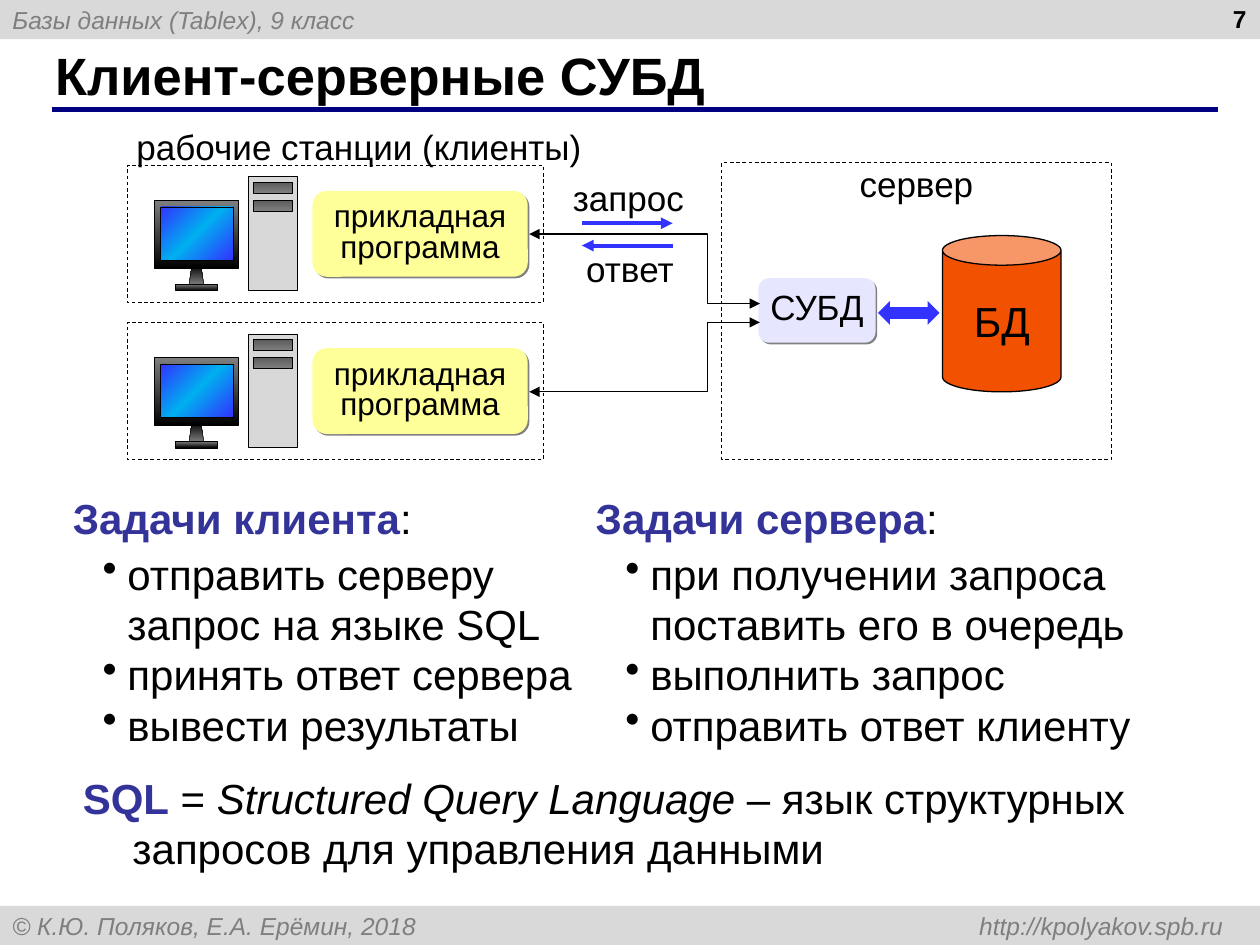
"""Build the slide about client-server database systems."""
from copy import deepcopy
from lxml.etree import SubElement
from pptx import Presentation
from pptx.dml.color import RGBColor
from pptx.enum.dml import MSO_LINE
from pptx.enum.shapes import MSO_CONNECTOR, MSO_SHAPE
from pptx.enum.text import MSO_ANCHOR, PP_ALIGN
from pptx.oxml.ns import qn
from pptx.util import Cm, Pt

THEME = {
    "font": "Arial",
    "black": "000000", "muted": "7F7F7F", "bar": "D9D9D9", "rule": "000080",
    "accent": "333399", "arrow": "3333FF", "program": "FFFF99", "dbms": "E6E6FF",
    "database": "F25100", "tower": "D8D8D8", "shadow": "808080",
    "case": (("7F7F7F", "000000"), 90), "drive": (("5A5A5A", "7F7F7F"), 90),
    "screen": (("3333FF", "00B0F0", "3333FF"), 45),
    "small": 14, "program_size": 18, "label": 20, "body": 24, "title": 30,
}

TITLE = "Клиент-серверные СУБД"
BARS = [
    (0, "Базы данных (Tablex), 9 класс"),
    (18.26, "© К.Ю. Поляков, Е.А. Ерёмин, 2018\thttp://kpolyakov.spb.ru"),
]
LABELS = [
    ("рабочие станции (клиенты)", (2.06, 2.54, 10.36, 0.69)),
    ("запрос", (11.35, 3.56, 2.64, 0.69)),
    ("ответ", (11.38, 4.98, 2.64, 0.66)),
]
STATION_TOPS = [3.33, 6.5]
PROGRAM = ["прикладная", "программа"]
HARDWARE = [
    (MSO_SHAPE.FLOWCHART_MANUAL_OPERATION, (1.24, 2.01, 0.3, 0.41), "case"),
    (MSO_SHAPE.RECTANGLE, (0.53, 0.71, 1.7, 1.37), "case"),
    (MSO_SHAPE.RECTANGLE, (0.66, 0.84, 1.47, 1.07), "screen"),
    (MSO_SHAPE.RECTANGLE, (0.97, 2.4, 0.84, 0.13), "case"),
    (MSO_SHAPE.RECTANGLE, (2.44, 0.23, 0.99, 2.29), "tower"),
    (MSO_SHAPE.RECTANGLE, (2.54, 0.34, 0.79, 0.23), "drive"),
    (MSO_SHAPE.RECTANGLE, (2.54, 0.7, 0.79, 0.23), "drive"),
]
LINKS = [(4.72, 6.12), (7.9, 6.5)]
LINK_X = (10.67, 14.27, 15.32)
MESSAGES = [(11.73, 13.56, 4.5), (13.56, 11.73, 4.95)]
TASKS = [
    ("Задачи клиента", 1.22, ["отправить серверу запрос на языке SQL",
                              "принять ответ сервера", "вывести результаты"]),
    ("Задачи сервера", 11.76, ["при получении запроса поставить его в очередь",
                               "выполнить запрос", "отправить ответ клиенту"]),
]
STRONG = {"bold": True, "color": "accent"}
DEFINITION = [
    ("SQL", STRONG), (" = ", {}), ("Structured Query Language", {"italic": True}),
    (" – язык структурных запросов для управления данными", {}),
]


def rgb(name):
    return RGBColor.from_string(THEME[name])


def write(sp, paras, size, align=PP_ALIGN.LEFT, anchor=MSO_ANCHOR.TOP,
          inset=(0, 0), wrap=True, spacing=None):
    tf = sp.text_frame
    mx, my = map(Cm, inset)
    frame = {"word_wrap": wrap, "vertical_anchor": anchor, "margin_left": mx,
             "margin_right": mx, "margin_top": my, "margin_bottom": my}
    for key, value in frame.items():
        setattr(tf, key, value)
    for i, runs in enumerate(paras):
        p = tf.add_paragraph() if i else tf.paragraphs[0]
        p.alignment = align
        if spacing:
            p.line_spacing = spacing
        for text, style in runs:
            r = p.add_run()
            r.text = text
            fmt = {"name": THEME["font"], "size": Pt(THEME[size]),
                   "bold": False, "italic": False, **style}
            r.font.color.rgb = rgb(fmt.pop("color", "black"))
            for key, value in fmt.items():
                setattr(r.font, key, value)
    return tf


def add_text(s, box, paras, size, **options):
    return write(s.shapes.add_textbox(*map(Cm, box)), paras, size, **options)


def paint(sp, fill):
    if fill is None:
        sp.fill.background()
    elif isinstance(THEME[fill], str):
        sp.fill.solid()
        sp.fill.fore_color.rgb = rgb(fill)
    else:
        colors, angle = THEME[fill]
        sp.fill.gradient()
        sp.fill.gradient_angle = 360 - angle
        stops = next(sp.element.spPr.iter(qn("a:gsLst")))
        for _ in colors[2:]:
            stops.append(deepcopy(stops[-1]))
        for i, (stop, color) in enumerate(zip(sp.fill.gradient_stops, colors)):
            stop.color.rgb = RGBColor.from_string(color)
            stop.position = i / (len(colors) - 1)


def add_shape(s, kind, box, fill=None, width=None, dash=None):
    sp = s.shapes.add_shape(kind, *map(Cm, box))
    paint(sp, fill)
    if width:
        sp.line.color.rgb = rgb("black")
        sp.line.width = Pt(width)
        sp.line.dash_style = dash
    else:
        sp.line.fill.background()
    sp.shadow.inherit = False
    return sp


def add_card(s, box, fill, lines, size):
    sp = add_shape(s, MSO_SHAPE.ROUNDED_RECTANGLE, box, fill)
    effects = sp.element.spPr.find(qn("a:effectLst"))
    shadow = SubElement(effects, qn("a:outerShdw"), dist="17780", dir="2700000", algn="ctr")
    SubElement(shadow, qn("a:srgbClr"), val=THEME["shadow"])
    write(sp, [[(line, {})] for line in lines], size, align=PP_ALIGN.CENTER,
          anchor=MSO_ANCHOR.MIDDLE, spacing=0.8)


def style_line(sp, color, width, ends=()):
    sp.line.color.rgb = rgb(color)
    sp.line.width = Pt(width)
    ln = sp.element.spPr.find(qn("a:ln"))
    for end in ends:
        SubElement(ln, qn(f"a:{end}"), type="triangle")


def add_line(s, ends, color, width, heads=()):
    c = s.shapes.add_connector(MSO_CONNECTOR.STRAIGHT, *map(Cm, ends))
    style_line(c, color, width, heads)
    SubElement(c.element.spPr, qn("a:effectLst"))


def add_frame(s):
    muted = {"italic": True, "color": "muted"}
    for top, text in BARS:
        sp = add_shape(s, MSO_SHAPE.RECTANGLE, (0, top, 25.4, 0.79), "bar")
        tf = write(sp, [[(text, muted)]], "small", anchor=MSO_ANCHOR.MIDDLE, inset=(0.25, 0.13))
        tabs = SubElement(tf.paragraphs[0]._p.get_or_add_pPr(), qn("a:tabLst"))
        SubElement(tabs, qn("a:tab"), pos=str(Cm(24.41)), algn="r")
    add_line(s, (1.04, 2.21, 24.56, 2.21), "rule", 3)
    title = s.shapes.title
    title.left, title.top, title.width, title.height = map(Cm, (0.86, 0.84, 23.27, 1.32))
    write(title, [[(TITLE, {"bold": True})]], "title", anchor=MSO_ANCHOR.MIDDLE, inset=(0.25, 0.13))
    add_text(s, (19.46, -0.05, 5.92, 1.32), [[("7", {"bold": True})]], "small",
             align=PP_ALIGN.RIGHT, inset=(0.25, 0.13))


def add_station(s, top, left=2.57):
    add_shape(s, MSO_SHAPE.RECTANGLE, (left, top, 8.38, 2.77), None, 0.5, MSO_LINE.DASH)
    add_card(s, (left + 3.73, top + 0.52, 4.34, 1.73), "program", PROGRAM, "program_size")
    for kind, (x, y, w, h), fill in HARDWARE:
        sp = add_shape(s, kind, (left + x, top + y, w, h), fill, 0.25)
        if kind == MSO_SHAPE.FLOWCHART_MANUAL_OPERATION:
            sp.element.spPr.find(qn("a:xfrm")).set("flipV", "1")


def add_diagram(s):
    server = add_shape(s, MSO_SHAPE.RECTANGLE, (14.55, 3.28, 7.85, 5.99), None, 0.5, MSO_LINE.DASH)
    write(server, [[("сервер", {})]], "label", align=PP_ALIGN.CENTER)
    database = add_shape(s, MSO_SHAPE.CAN, (19, 4.75, 2.39, 3.15), "database", 0.75)
    write(database, [[("БД", {})]], "body", align=PP_ALIGN.CENTER, anchor=MSO_ANCHOR.MIDDLE)
    add_card(s, (15.29, 5.61, 2.36, 1.3), "dbms", ["СУБД"], "label")
    add_shape(s, MSO_SHAPE.LEFT_RIGHT_ARROW, (17.7, 6.07, 1.24, 0.48), "arrow")
    for top in STATION_TOPS:
        add_station(s, top)
    x1, x2, x3 = map(Cm, LINK_X)
    for start, end in LINKS:
        y1, y2 = Cm(start), Cm(end)
        builder = s.shapes.build_freeform(x1, y1)
        builder.add_line_segments([(x2, y1), (x2, y2), (x3, y2)], close=False)
        sp = builder.convert_to_shape()
        sp.fill.background()
        style_line(sp, "black", 0.75, ("headEnd", "tailEnd"))
        sp.shadow.inherit = False
    for text, box in LABELS:
        add_text(s, box, [[(text, {})]], "label", align=PP_ALIGN.CENTER)
    for start, end, y in MESSAGES:
        add_line(s, (start, y, end, y), "arrow", 2.25, ("tailEnd",))


def add_tasks(s):
    for heading, left, items in TASKS:
        add_text(s, (left, 9.8, 7.4, 1.27), [[(heading, STRONG), (":", {})]], "body",
                 inset=(0.25, 0.13), wrap=False)
        tf = add_text(s, (left + 0.6, 10.92, 11.05, 4.32), [[(item, {})] for item in items],
                      "body", inset=(0.25, 0.13))
        for p in tf.paragraphs:
            pPr = p._p.get_or_add_pPr()
            pPr.set("marL", str(Cm(0.5)))
            pPr.set("indent", str(Cm(-0.5)))
            SubElement(SubElement(pPr, qn("a:buClr")), qn("a:srgbClr"), val=THEME["black"])
            SubElement(pPr, qn("a:buChar"), char="•")
    tf = add_text(s, (1.42, 15.44, 23.42, 2.29), [DEFINITION], "body", inset=(0.25, 0.13))
    pPr = tf.paragraphs[0]._p.get_or_add_pPr()
    pPr.set("marL", str(Cm(1)))
    pPr.set("indent", str(Cm(-1)))


def main():
    prs = Presentation()
    prs.slide_width, prs.slide_height = Cm(25.4), Cm(19.05)
    s = prs.slides.add_slide(prs.slide_layouts[5])
    for add_part in (add_frame, add_diagram, add_tasks):
        add_part(s)
    prs.save("out.pptx")


if __name__ == "__main__":
    main()
